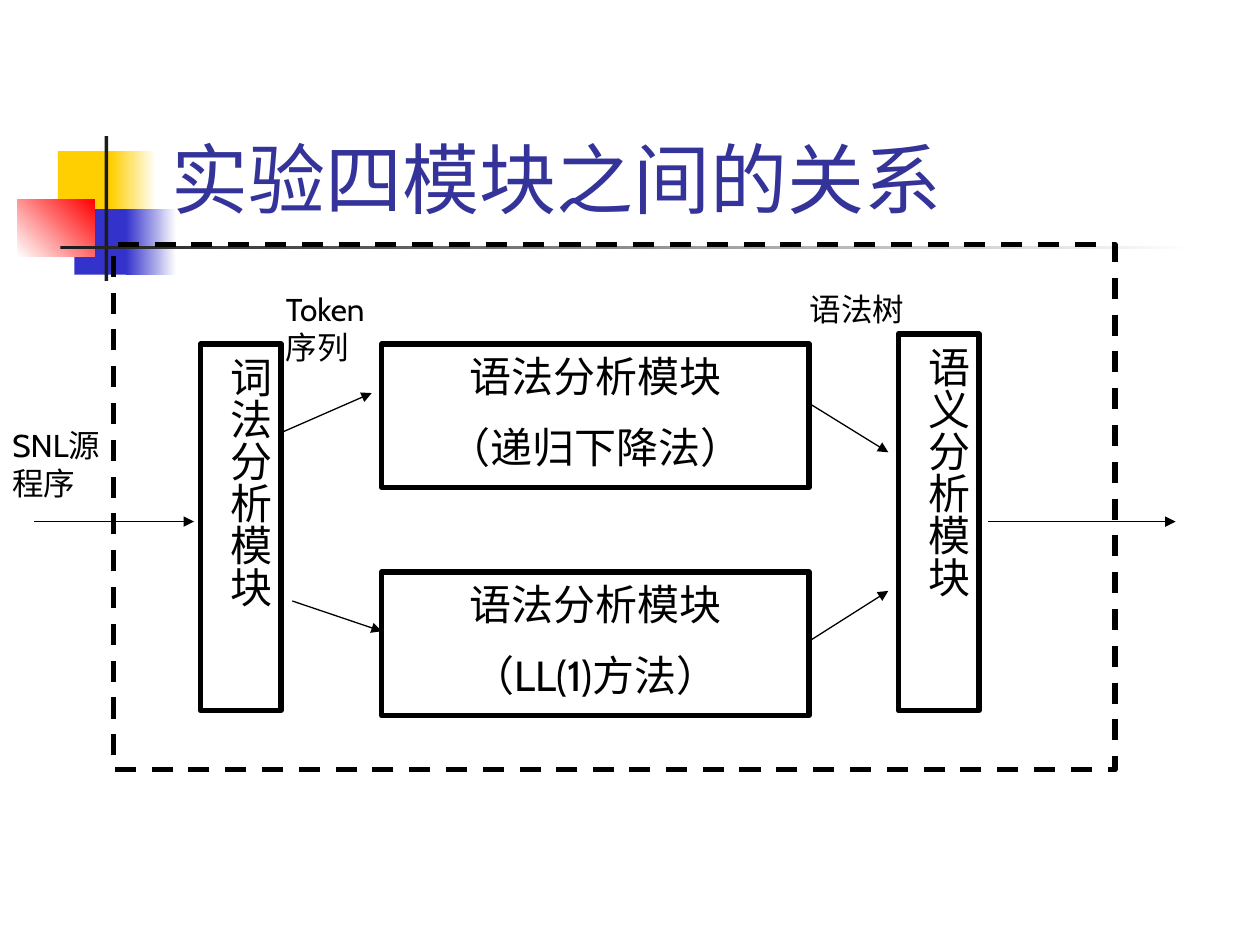
from pptx import Presentation
from pptx.dml.color import RGBColor
from pptx.enum.dml import MSO_LINE
from pptx.enum.shapes import MSO_CONNECTOR, MSO_SHAPE
from pptx.enum.text import MSO_ANCHOR, PP_ALIGN
from pptx.oxml.ns import qn
from pptx.util import Inches, Pt
from lxml.etree import SubElement

THEME = {
    "font": "Cabin",
    "title_size": 44, "module_size": 24, "label_size": 18,
    "title": "333399", "ink": "000000", "white": "FFFFFF",
    "yellow": "FFCF01", "blue": "3333CC", "red": "FF0000", "dark": "1C1C1C",
    "module_line": 3, "arrow_line": 0.75,
}

TITLE = ("实验四模块之间的关系", (1.26, 0.23, 8.52, 1.6))

# Box, colours (two make a gradient), gradient angle
DECORATION = [
    ((0.46, 1.2, 0.48, 0.52), ("yellow",), 0),
    ((0.88, 1.2, 0.36, 0.52), ("yellow", "white"), 0),
    ((0.59, 1.66, 0.46, 0.52), ("blue",), 0),
    ((1, 1.66, 0.4, 0.52), ("blue", "white"), 0),
    ((0.14, 1.58, 0.61, 0.46), ("white", "red"), 45),
    ((0.83, 1.08, 0.03, 1.15), ("dark",), 0),
    ((0.48, 1.95, 9, 0.03), ("dark", "white"), 0),
]

VERTICAL_MODULES = [
    ("语义分析模块", (7.13, 2.65, 0.64, 2.99)),
    ("词法分析模块", (1.59, 2.73, 0.64, 2.91)),
]
PARSER_MODULES = [
    ("语法分析模块\n（递归下降法）", (3.03, 2.73, 3.39, 1.14)),
    ("语法分析模块\n（LL(1)方法）", (3.03, 4.54, 3.39, 1.14)),
]
SYSTEM_BORDER = (0.9, 1.94, 7.95, 4.17)

ARROWS = [
    (0.27, 4.14, 1.54, 4.14),
    (2.24, 3.43, 2.95, 3.12),
    (2.32, 4.77, 3.03, 5.01),
    (6.42, 3.2, 7.05, 3.59),
    (6.42, 5.09, 7.05, 4.69),
    (7.84, 4.14, 9.33, 4.14),
]

LABELS = [
    ("SNL源程序", (0, 3.33, 1, 0.71)),
    ("Token序列", (2.17, 2.25, 1, 0.71)),
    ("语法树", (6.33, 2.25, 1, 0.4)),
]


def color(name):
    return RGBColor.from_string(THEME[name])


def write(shape, text, size, ink="ink", align=PP_ALIGN.LEFT, anchor=MSO_ANCHOR.TOP):
    frame = shape.text_frame
    frame.text = text
    frame.word_wrap = True
    frame.vertical_anchor = anchor
    for index, paragraph in enumerate(frame.paragraphs):
        paragraph.alignment = align
        paragraph.space_before = Pt(THEME[size] / 2 if index else 0)
        for run in paragraph.runs:
            run.font.name = THEME["font"]
            run.font.size = Pt(THEME[size])
            run.font.color.rgb = color(ink)


def add_text(slide, text, box, size, **style):
    write(slide.shapes.add_textbox(*map(Inches, box)), text, size, **style)


def add_rectangle(slide, box):
    shape = slide.shapes.add_shape(MSO_SHAPE.RECTANGLE, *map(Inches, box))
    shape.shadow.inherit = False
    return shape


def add_decoration(slide, box, colors, angle):
    shape = add_rectangle(slide, box)
    shape.line.fill.background()
    if len(colors) == 1:
        shape.fill.solid()
        shape.fill.fore_color.rgb = color(colors[0])
        return
    shape.fill.gradient()
    shape.fill.gradient_angle = angle
    for stop, name, position in zip(shape.fill.gradient_stops, colors, (0, 1)):
        stop.color.rgb = color(name)
        stop.position = position


def add_outline(slide, box):
    shape = add_rectangle(slide, box)
    shape.fill.background()
    shape.line.color.rgb = color("ink")
    shape.line.width = Pt(THEME["module_line"])
    return shape


def add_arrow(slide, points):
    arrow = slide.shapes.add_connector(MSO_CONNECTOR.STRAIGHT, *map(Inches, points))
    arrow.line.color.rgb = color("ink")
    arrow.line.width = Pt(THEME["arrow_line"])
    SubElement(arrow.line._get_or_add_ln(), qn("a:tailEnd"), type="triangle")
    SubElement(arrow._element.spPr, qn("a:effectLst"))


def main():
    presentation = Presentation()
    presentation.slide_width, presentation.slide_height = Inches(10), Inches(7.5)
    slide = presentation.slides.add_slide(presentation.slide_layouts[6])

    for box, colors, angle in DECORATION:
        add_decoration(slide, box, colors, angle)
    add_text(slide, *TITLE, "title_size", ink="title", anchor=MSO_ANCHOR.BOTTOM)

    for text, box in VERTICAL_MODULES:
        module = add_outline(slide, box)
        write(module, text, "module_size")
        module.text_frame._txBody.bodyPr.set("vert", "eaVert")
    for text, box in PARSER_MODULES:
        write(add_outline(slide, box), text, "module_size", align=PP_ALIGN.CENTER)

    for points in ARROWS:
        add_arrow(slide, points)
    add_outline(slide, SYSTEM_BORDER).line.dash_style = MSO_LINE.DASH
    for text, box in LABELS:
        add_text(slide, text, box, "label_size")

    presentation.save("out.pptx")


if __name__ == "__main__":
    main()
